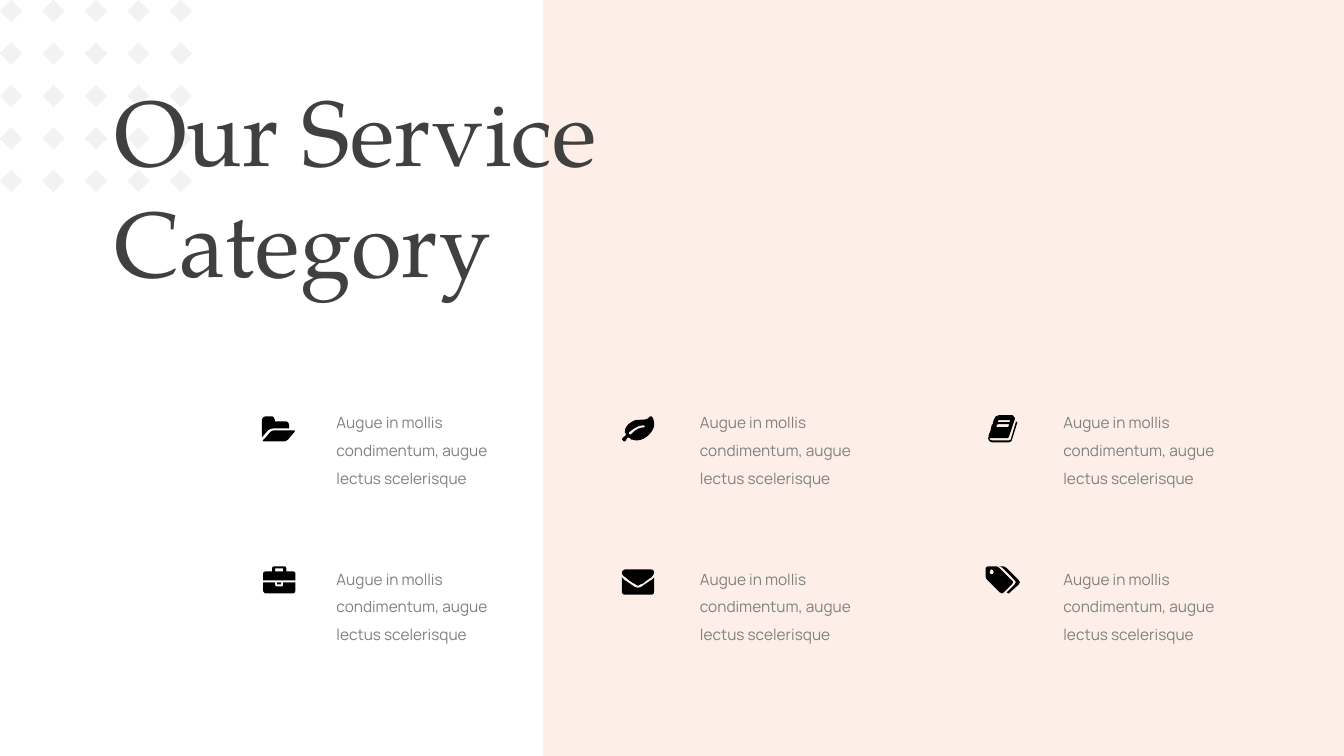
from dataclasses import dataclass
from itertools import product

from lxml.etree import SubElement
from pptx import Presentation
from pptx.dml.color import RGBColor
from pptx.enum.shapes import MSO_SHAPE as Preset
from pptx.enum.text import MSO_ANCHOR as Anchor, MSO_AUTO_SIZE as Auto, PP_ALIGN as Align
from pptx.oxml.ns import qn
from pptx.util import Cm, Pt

Step = tuple[int, ...]  # two numbers: a corner; six: a Bezier curve
FINE = 10  # drawing units per hundredth of an inch
BLURB = "Augue in mollis condimentum, augue lectus scelerisque"


@dataclass
class Icon:
    left: float
    top: float
    loops: list[list[Step]]


# Icon outlines, in hundredths of an inch from each icon's corner
FOLDER = Icon(6.6, 10.49, [
    [(27, 12), (12, 12), (10, 12, 7, 13, 6, 14), (0, 21), (0, 4), (0, 2, 2, 0, 4, 0),
     (10, 0), (11, 0, 13, 2, 13, 4), (13, 5), (23, 5), (25, 5, 27, 6, 27, 9)],
    [(32, 16), (26, 23), (25, 24, 23, 25, 22, 25), (3, 25), (2, 25, 1, 25, 1, 24),
     (1, 24, 1, 23, 2, 23), (8, 16), (9, 15, 11, 14, 12, 14), (31, 14),
     (32, 14, 33, 14, 33, 15), (33, 15, 32, 15, 32, 16)],
])
LEAF = Icon(15.67, 10.49, [
    [(32, 10), (30, 16, 27, 19, 22, 22), (20, 23, 17, 24, 14, 24), (13, 24, 11, 23, 9, 23),
     (9, 22, 7, 21, 6, 21), (5, 21, 4, 25, 3, 25), (2, 25, 1, 24, 1, 24),
     (1, 23, 0, 23, 0, 23), (0, 21, 4, 20, 4, 18), (4, 17), (3, 17, 3, 16, 3, 15),
     (3, 10, 8, 6, 13, 4), (16, 3, 24, 4, 26, 2), (27, 1, 28, 0, 29, 0),
     (31, 0, 32, 5, 32, 7), (32, 8, 32, 9, 32, 10)],
    [(22, 9), (16, 9, 12, 12, 7, 16), (7, 17), (7, 18, 8, 18, 8, 18), (9, 18),
     (10, 17, 11, 16, 12, 15), (15, 13, 18, 11, 22, 11), (22, 11, 23, 11, 23, 10),
     (23, 10, 22, 9, 22, 9)],
])
BOOK = Icon(24.89, 10.46, [
    [(29, 9), (24, 25), (24, 26, 22, 27, 21, 27), (5, 27), (3, 27, 1, 26, 1, 24),
     (0, 23, 0, 23, 1, 22), (1, 20), (3, 15), (4, 10), (5, 9), (6, 5), (7, 3),
     (8, 2, 8, 0, 10, 1), (10, 1, 11, 0, 11, 0), (24, 0), (25, 0, 26, 1, 26, 2),
     (27, 2, 27, 3, 27, 4), (22, 19), (21, 22, 21, 23, 18, 23), (3, 23),
     (2, 23, 2, 23, 2, 24), (3, 25, 4, 25, 5, 25), (21, 25), (22, 25, 22, 25, 23, 24),
     (28, 7), (28, 6), (29, 7), (29, 7, 30, 8, 29, 9)],
    [(9, 12), (20, 12), (21, 11), (21, 9), (10, 9), (9, 10)],
    [(11, 7), (21, 7), (22, 7), (22, 5), (12, 5), (11, 5), (10, 7)],
])
CASE = Icon(6.63, 14.27, [
    [(32, 14), (0, 14), (0, 7), (0, 6, 2, 5, 3, 5), (9, 5), (9, 2), (9, 1, 10, 0, 11, 0),
     (21, 0), (22, 0, 23, 1, 23, 2), (23, 5), (29, 5), (31, 5, 32, 6, 32, 7)],
    [(32, 24), (32, 26, 31, 27, 29, 27), (3, 27), (2, 27, 0, 26, 0, 24), (0, 16), (12, 16),
     (12, 19), (13, 20), (19, 20), (20, 19), (20, 16), (32, 16)],
    [(20, 5), (20, 2), (12, 2), (12, 5)],
    [(18, 18), (14, 18), (14, 16), (18, 16)],
])
MAIL = Icon(15.67, 14.35, [
    [(29, 8), (26, 10, 23, 12, 21, 14), (19, 14, 17, 16, 16, 16), (15, 16, 13, 14, 12, 14),
     (9, 12, 6, 10, 4, 8), (2, 7, 0, 5, 0, 3), (0, 2, 2, 0, 3, 0), (29, 0),
     (31, 0, 32, 1, 32, 3), (32, 5, 30, 7, 29, 8)],
    [(32, 22), (32, 24, 31, 25, 29, 25), (3, 25), (2, 25, 0, 24, 0, 22), (0, 8),
     (1, 9, 2, 9, 2, 10), (5, 12, 8, 14, 11, 16), (12, 17, 14, 18, 16, 18),
     (18, 18, 20, 17, 21, 16), (24, 14, 27, 12, 30, 10), (31, 9, 31, 9, 32, 8)],
])
TAGS = Icon(24.84, 14.27, [
    [(26, 18), (18, 26), (17, 26, 17, 27, 16, 27), (16, 27, 15, 26, 14, 26), (2, 14),
     (1, 13, 0, 11, 0, 10), (0, 2), (0, 1, 2, 0, 3, 0), (10, 0), (11, 0, 13, 1, 14, 2),
     (26, 14), (27, 15, 27, 15, 27, 16), (27, 16, 27, 17, 26, 18)],
    [(6, 3), (5, 3, 4, 5, 4, 6), (4, 7, 5, 8, 6, 8), (7, 8, 8, 7, 8, 6), (8, 5, 7, 3, 6, 3)],
    [(33, 18), (24, 26), (24, 26, 23, 27, 23, 27), (22, 27, 21, 26, 21, 26), (29, 18),
     (29, 17, 30, 16, 30, 16), (30, 15, 29, 15, 29, 14), (17, 2), (16, 1, 14, 0, 13, 0),
     (17, 0), (18, 0, 20, 1, 21, 2), (33, 14), (33, 15, 34, 15, 34, 16),
     (34, 16, 33, 17, 33, 18)],
])


def paint(shape, color: str, alpha: int = 100) -> None:
    shape.shadow.inherit = False
    shape.line.fill.background()
    shape.fill.solid()
    shape.fill.fore_color.rgb = RGBColor.from_string(color)
    if alpha < 100:
        tint = shape.fill._xPr.find(f".//{qn('a:srgbClr')}")
        SubElement(tint, qn("a:alpha"), val=str(alpha * 1000))


def write(shape, text: str, *, font: str, size: float, color: str, gap: float = 1.0) -> None:
    frame = shape.text_frame
    frame.word_wrap = True
    frame.auto_size = Auto.NONE
    frame.vertical_anchor = Anchor.TOP
    frame.text = text
    para = frame.paragraphs[0]
    para.alignment = Align.LEFT
    para.line_spacing = gap
    face = para.runs[0].font
    face.name, face.size = font, Pt(size)
    face.color.rgb = RGBColor.from_string(color)


def trace(loop: list[Step], cuts: int = 6) -> list[tuple[float, float]]:
    """Turn a loop of corners and curves into points."""
    dots: list[tuple[float, float]] = []
    for step in loop:
        if len(step) == 2:
            dots.append((step[0] * FINE, step[1] * FINE))
            continue
        knots = [dots[-1], *((step[i] * FINE, step[i + 1] * FINE) for i in (0, 2, 4))]
        for t in (n / cuts for n in range(1, cuts + 1)):
            mix = ((1 - t) ** 3, 3 * t * (1 - t) ** 2, 3 * t * t * (1 - t), t ** 3)
            dots.append((sum(m * k[0] for m, k in zip(mix, knots)),
                         sum(m * k[1] for m, k in zip(mix, knots))))
    return dots


def draw(shapes, icon: Icon) -> None:
    first, *rest = [trace(loop) for loop in icon.loops]
    pen = shapes.build_freeform(*first[0], scale=Cm(0.0254) / FINE)
    pen.add_line_segments(first[1:])
    for dots in rest:
        pen.move_to(*dots[0])
        pen.add_line_segments(dots[1:])
    paint(pen.convert_to_shape(Cm(icon.left), Cm(icon.top)), "010101")


def main() -> None:
    deck = Presentation()
    deck.slide_width, deck.slide_height = Cm(33.87), Cm(19.05)
    slide = deck.slides.add_slide(deck.slide_layouts[5])
    shapes = slide.shapes

    # Diamond pattern
    grid = shapes.add_group_shape()
    for row, col in product(range(5), repeat=2):
        gem = grid.shapes.add_shape(
            Preset.DIAMOND, Cm(col * 1.07), Cm(row * 1.07), Cm(0.56), Cm(0.56))
        paint(gem, "F2F2F2")

    # Tinted panel
    panel = shapes.add_shape(Preset.RECTANGLE, Cm(13.69), 0, Cm(20.18), Cm(19.05))
    paint(panel, "FDEFE6", alpha=95)

    # Title, brought in front of the panel
    title = shapes.title
    title.left, title.top, title.width, title.height = Cm(2.62), Cm(1.75), Cm(16.87), Cm(5.89)
    write(title, "Our Service Category", font="TeX Gyre Pagella", size=66, color="404040")
    shapes._spTree.append(title._element)

    # Services
    for col, row in product(range(3), range(2)):
        box = shapes.add_textbox(
            Cm(8.23 + col * 9.16), Cm(10.06 + row * 3.94), Cm(4.7), Cm(2.36))
        write(box, BLURB, font="Manrope", size=11, color="808080", gap=1.5)
    for icon in (FOLDER, LEAF, BOOK, CASE, MAIL, TAGS):
        draw(shapes, icon)

    deck.save("out.pptx")


if __name__ == "__main__":
    main()
